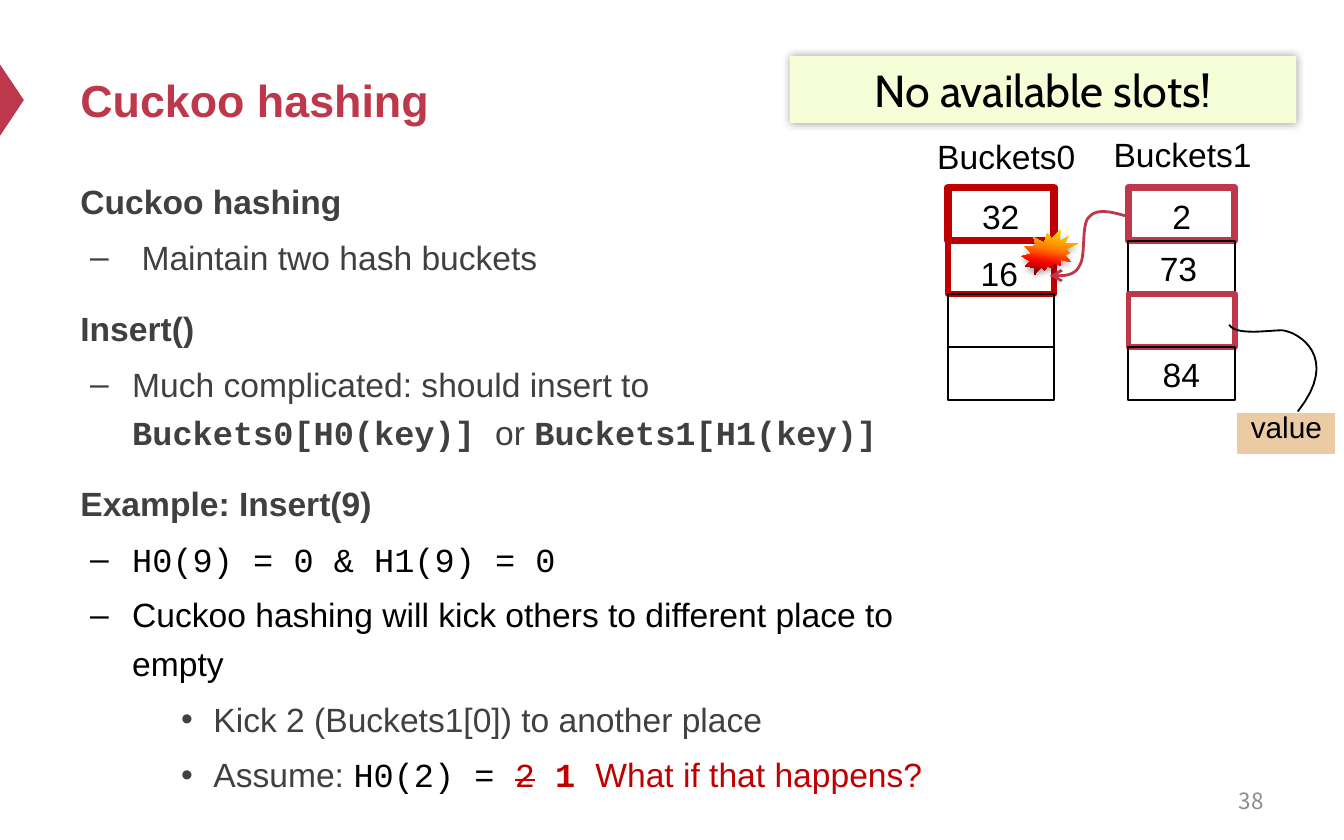
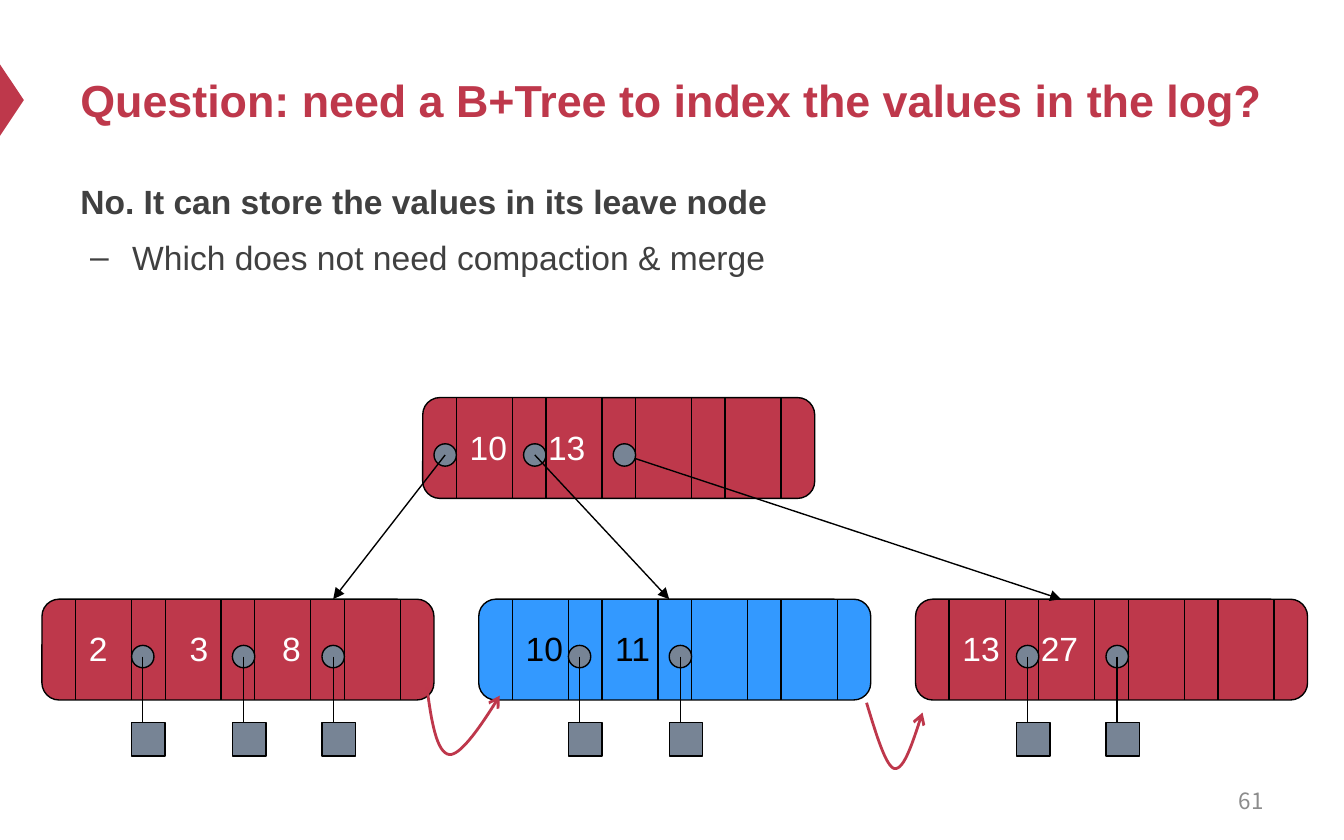
from dataclasses import dataclass
from typing import Any, Optional

from lxml import etree
from pptx import Presentation
from pptx.dml.color import RGBColor
from pptx.enum.shapes import MSO_CONNECTOR, MSO_SHAPE
from pptx.enum.text import MSO_ANCHOR, MSO_AUTO_SIZE, PP_ALIGN
from pptx.oxml.ns import qn
from pptx.util import Pt

PX = 9525
STRAIGHT = MSO_CONNECTOR.STRAIGHT
RECTANGLE, ROUNDED, OVAL = MSO_SHAPE.RECTANGLE, MSO_SHAPE.ROUNDED_RECTANGLE, MSO_SHAPE.OVAL
TRIANGLE, BURST = MSO_SHAPE.ISOSCELES_TRIANGLE, MSO_SHAPE.EXPLOSION2
TOP, MIDDLE = MSO_ANCHOR.TOP, MSO_ANCHOR.MIDDLE
LEFT, CENTER, RIGHT = PP_ALIGN.LEFT, PP_ALIGN.CENTER, PP_ALIGN.RIGHT

CRIMSON, CURVE_RED, ALERT = "BE384B", "BE374B", "C00000"
INK, BLACK, WHITE, GREY = "404040", "000000", "FFFFFF", "8C8C8C"
SLATE, BLUE, SAND, LIME = "778495", "3399FF", "EACBA3", "F5FED6"
SANS, MONO, BANNER_FONT, NUMBER_FONT = "Arial", "Courier New", "Cabin", "Noto Sans CJK SC"

# level: (left margin, first-line indent, bullet, space before in points)
LEVELS = {0: (0, 0, "", 12), 1: (37, -30, "–", 4), 2: (95, -23, "•", 4)}

Area = tuple[int, int, int, int]
Point = tuple[int, int]


@dataclass(frozen=True)
class Span:
    words: str
    color: str = INK
    size: int = 18
    font: str = SANS
    bold: bool = False
    struck: bool = False


@dataclass(frozen=True)
class Para:
    spans: tuple[Span, ...]
    level: int = 0


@dataclass(frozen=True)
class Slot:
    left: int
    row: int
    color: str = BLACK
    weight: float = 1


@dataclass(frozen=True)
class Label:
    words: str
    area: Area
    size: int = 18
    wrap: bool = False


@dataclass(frozen=True)
class Node:
    left: int
    top: int
    keys: tuple[tuple[str, int], ...]
    dots: tuple[int, ...]
    fill: str = CRIMSON
    ink: str = WHITE


def rgb(color: str) -> RGBColor:
    return RGBColor.from_string(color)


def emu(*lengths: int) -> list[int]:
    return [length * PX for length in lengths]


def add_spans(para: Any, spans: tuple[Span, ...]) -> None:
    for span in spans:
        run = para.add_run()
        run.text = span.words
        run.font.name, run.font.size, run.font.bold = span.font, Pt(span.size), span.bold
        run.font.color.rgb = rgb(span.color)
        if span.struck:
            run._r.get_or_add_rPr().set("strike", "sngStrike")


def add_text(page: Any, area: Area, span: Span, align: Any = LEFT, anchor: Any = TOP,
             wrap: bool = True, grow: bool = False) -> None:
    frame = page.shapes.add_textbox(*emu(*area)).text_frame
    frame.word_wrap, frame.vertical_anchor = wrap, anchor
    if grow:
        frame.auto_size = MSO_AUTO_SIZE.SHAPE_TO_FIT_TEXT
    frame.paragraphs[0].alignment = align
    add_spans(frame.paragraphs[0], (span,))


def add_body(page: Any, area: Area, paras: list[Para]) -> None:
    frame = page.shapes.add_textbox(*emu(*area)).text_frame
    frame.word_wrap = True
    for index, item in enumerate(paras):
        para = frame.add_paragraph() if index else frame.paragraphs[0]
        margin, indent, bullet, before = LEVELS[item.level]
        if bullet:
            properties = para._p.get_or_add_pPr()
            properties.set("marL", str(margin * PX))
            properties.set("indent", str(indent * PX))
            etree.SubElement(properties, qn("a:buFont"), typeface=SANS)
            etree.SubElement(properties, qn("a:buChar"), char=bullet)
        para.line_spacing = 1.2
        para.space_before = Pt(before if index else 0)
        add_spans(para, item.spans)


def add_box(page: Any, kind: Any, area: Area, fill: Optional[str] = None,
            line: Optional[str] = None, weight: float = 0.75) -> Any:
    box = page.shapes.add_shape(kind, *emu(*area))
    box.shadow.inherit = False
    if fill:
        box.fill.solid()
        box.fill.fore_color.rgb = rgb(fill)
    else:
        box.fill.background()
    if line:
        box.line.color.rgb, box.line.width = rgb(line), Pt(weight)
    else:
        box.line.fill.background()
    return box


def add_shadow(box: Any, alpha: int, blur: float, distance: float, angle: int) -> None:
    effects = box.element.spPr.find(qn("a:effectLst"))
    shadow = etree.SubElement(effects, qn("a:outerShdw"), blurRad=str(Pt(blur)),
                              dist=str(Pt(distance)), dir=str(angle * 60000), rotWithShape="0")
    color = etree.SubElement(shadow, qn("a:srgbClr"), val=BLACK)
    etree.SubElement(color, qn("a:alpha"), val=str(alpha * 1000))


def set_gradient(box: Any, stops: list[tuple[int, str]], angle: int) -> None:
    box.fill.gradient()
    gradient = box.element.spPr.find(qn("a:gradFill"))
    stop_list = gradient.find(qn("a:gsLst"))
    for stop in list(stop_list):
        stop_list.remove(stop)
    for position, color in stops:
        stop = etree.SubElement(stop_list, qn("a:gs"), pos=str(position * 1000))
        etree.SubElement(stop, qn("a:srgbClr"), val=color)
    gradient.find(qn("a:lin")).set("ang", str(angle * 60000))


def add_head(shape: Any, kind: str) -> None:
    etree.SubElement(shape.element.spPr.find(qn("a:ln")), qn("a:tailEnd"), type=kind)


def add_line(page: Any, start: Point, end: Point, arrow: bool = False) -> None:
    line = page.shapes.add_connector(STRAIGHT, *emu(*start, *end))
    line.line.color.rgb, line.line.width = rgb(BLACK), Pt(0.75)
    if arrow:
        add_head(line, "triangle")
    etree.SubElement(line.element.spPr, qn("a:effectLst"))


def add_curve(page: Any, points: list[Point], color: str, weight: float, arrow: bool = True) -> None:
    """Trace cubic Bézier pieces: a start, then two handles and an end for each piece."""
    steps = 16
    traced = []
    for first in range(0, len(points) - 1, 3):
        piece = points[first:first + 4]
        for step in range(1, steps + 1):
            t = step / steps
            weights = ((1 - t) ** 3, 3 * t * (1 - t) ** 2, 3 * t * t * (1 - t), t ** 3)
            traced.append(tuple(PX * sum(w * point[axis] for w, point in zip(weights, piece))
                                for axis in (0, 1)))
    builder = page.shapes.build_freeform(*emu(*points[0]))
    builder.add_line_segments(traced, close=False)
    curve = builder.convert_to_shape()
    curve.shadow.inherit = False
    curve.fill.background()
    curve.line.color.rgb, curve.line.width = rgb(color), Pt(weight)
    if arrow:
        add_head(curve, "arrow")


def start_page(deck: Any, title: str, number: str) -> Any:
    page = deck.slides.add_slide(deck.slide_layouts[6])
    marker = add_box(page, TRIANGLE, (-17, 63, 51, 17), CRIMSON)
    marker.rotation = 90
    add_text(page, (48, 24, 864, 94), Span(title, CRIMSON, 24, bold=True), anchor=MIDDLE)
    add_text(page, (688, 556, 224, 32), Span(number, GREY, 12, NUMBER_FONT), RIGHT, MIDDLE)
    return page


def heading(words: str) -> Para:
    return Para((Span(words, bold=True),))


def build_cuckoo(deck: Any) -> None:
    page = start_page(deck, "Cuckoo hashing", "38")
    add_body(page, (48, 119, 640, 492), [
        heading("Cuckoo hashing"),
        Para((Span(" Maintain two hash buckets"),), 1),
        heading("Insert()"),
        Para((Span("Much complicated: should insert to "),
              Span("Buckets0[H0(key)] ", font=MONO, bold=True), Span("or "),
              Span("Buckets1[H1(key)]", font=MONO, bold=True)), 1),
        heading("Example: Insert(9)"),
        Para((Span("H0(9) = 0 & H1(9) = 0", BLACK, font=MONO),), 1),
        Para((Span("Cuckoo hashing will kick others to different place to empty", BLACK),), 1),
        Para((Span("Kick 2 (Buckets1[0]) to another place"),), 2),
        Para((Span("Assume: "), Span("H0(2) = ", BLACK, font=MONO),
              Span("2", ALERT, font=MONO, struck=True), Span(" ", ALERT, font=MONO),
              Span("1 ", ALERT, font=MONO, bold=True),
              Span("What if that happens?", ALERT)), 2),
    ])

    bucket0, bucket1 = 677, 806
    slots = [
        Slot(bucket0, 1, ALERT, 3), Slot(bucket0, 2), Slot(bucket0, 3),
        Slot(bucket1, 0, CURVE_RED, 4), Slot(bucket1, 1),
        Slot(bucket1, 2, CURVE_RED, 3), Slot(bucket1, 3),
        Slot(bucket0, 0, ALERT, 4),
    ]
    for slot in slots:
        add_box(page, RECTANGLE, (slot.left, 134 + 38 * slot.row, 76, 38),
                line=slot.color, weight=slot.weight)
    add_box(page, RECTANGLE, (882, 294, 73, 32), SAND, WHITE, 2)

    labels = [
        Label("Buckets0", (660, 92, 126, 38), wrap=True),
        Label("Buckets1", (786, 91, 126, 38), wrap=True),
        Label("32", (692, 135, 46, 38)), Label("16", (691, 176, 46, 38)),
        Label("2", (828, 135, 58, 38), wrap=True),
        Label("73", (819, 172, 46, 38)), Label("84", (821, 248, 46, 38)),
        Label("value", (884, 287, 71, 36), 16),
    ]
    for label in labels:
        add_text(page, label.area, Span(label.words, BLACK, label.size),
                 wrap=label.wrap, grow=True)

    add_curve(page, [(927, 294), (958, 255), (927, 237), (916, 236),
                     (905, 236), (883, 240), (878, 232)], BLACK, 1, arrow=False)
    add_curve(page, [(807, 155), (796, 152), (784, 148), (778, 155), (772, 160),
                     (776, 183), (771, 190), (767, 198), (758, 197), (750, 197)],
              CURVE_RED, 1.5)

    burst = add_box(page, BURST, (730, 164, 40, 32))
    set_gradient(burst, [(0, "FFF200"), (45, "FF7A00"), (70, "FF0300"), (100, "4D0808")], 100)
    add_shadow(burst, 35, 3.1, 1.8, 90)

    banner = add_box(page, RECTANGLE, (564, 40, 362, 48), LIME)
    add_shadow(banner, 40, 5, 0, 0)
    banner.text_frame.vertical_anchor = TOP
    banner.text_frame.word_wrap = True
    banner.text_frame.paragraphs[0].alignment = CENTER
    add_spans(banner.text_frame.paragraphs[0],
              (Span("No available slots!", BLACK, 24, BANNER_FONT),))


def add_node(page: Any, node: Node) -> None:
    body = add_box(page, ROUNDED, (node.left, node.top, 280, 72), node.fill, BLACK)
    body.adjustments[0] = 0.17
    for pair in range(4):
        for offset in (24, 64):
            x = node.left + 64 * pair + offset
            add_line(page, (x, node.top), (x, node.top + 72))
    for words, offset in node.keys:
        add_text(page, (node.left + offset, node.top + 16, 20 + 13 * len(words), 38),
                 Span(words, node.ink), wrap=False, grow=True)


def add_dot(page: Any, node: Node, offset: int) -> Point:
    """Draw a pointer dot and return its centre."""
    left, top = node.left + offset, node.top + 33
    add_box(page, OVAL, (left, top, 16, 16), SLATE, BLACK)
    return left + 8, top + 8


def build_tree(deck: Any) -> None:
    page = start_page(deck, "Question: need a B+Tree to index the values in the log?", "61")
    add_body(page, (48, 119, 864, 396), [
        heading("No. It can store the values in its leave node"),
        Para((Span("Which does not need compaction & merge"),), 1),
    ])
    root = Node(302, 284, (("10", 24), ("13", 80)), (8, 72, 136))
    leaves = [
        Node(30, 428, (("2", 24), ("3", 96), ("8", 162)), (64, 136, 200)),
        Node(342, 428, (("10", 24), ("11", 88)), (64, 136), BLUE, BLACK),
        Node(654, 428, (("13", 24), ("27", 80)), (72, 136)),
    ]
    for node in [root, *leaves]:
        add_node(page, node)
    for leaf in leaves:
        for offset in leaf.dots:
            x, y = add_dot(page, leaf, offset)
            add_line(page, (x, y), (x, 533), arrow=True)
            add_box(page, RECTANGLE, (x - 8, 516, 24, 24), SLATE, BLACK)

    add_line(page, (446, 325), (758, 428), arrow=True)
    centres = [add_dot(page, root, offset) for offset in root.dots]
    for centre, target in zip(centres, (238, 478)):
        add_line(page, centre, (target, 428), arrow=True)

    add_curve(page, [(305, 491), (308, 515), (312, 538), (321, 539),
                     (329, 540), (344, 518), (357, 497)], CURVE_RED, 1.5)
    add_curve(page, [(619, 502), (626, 525), (633, 548), (639, 549),
                     (646, 550), (652, 530), (659, 509)], CURVE_RED, 1.5)


def main() -> None:
    deck = Presentation()
    deck.slide_width, deck.slide_height = emu(960, 600)
    build_cuckoo(deck)
    build_tree(deck)
    deck.save("out.pptx")


if __name__ == "__main__":
    main()
